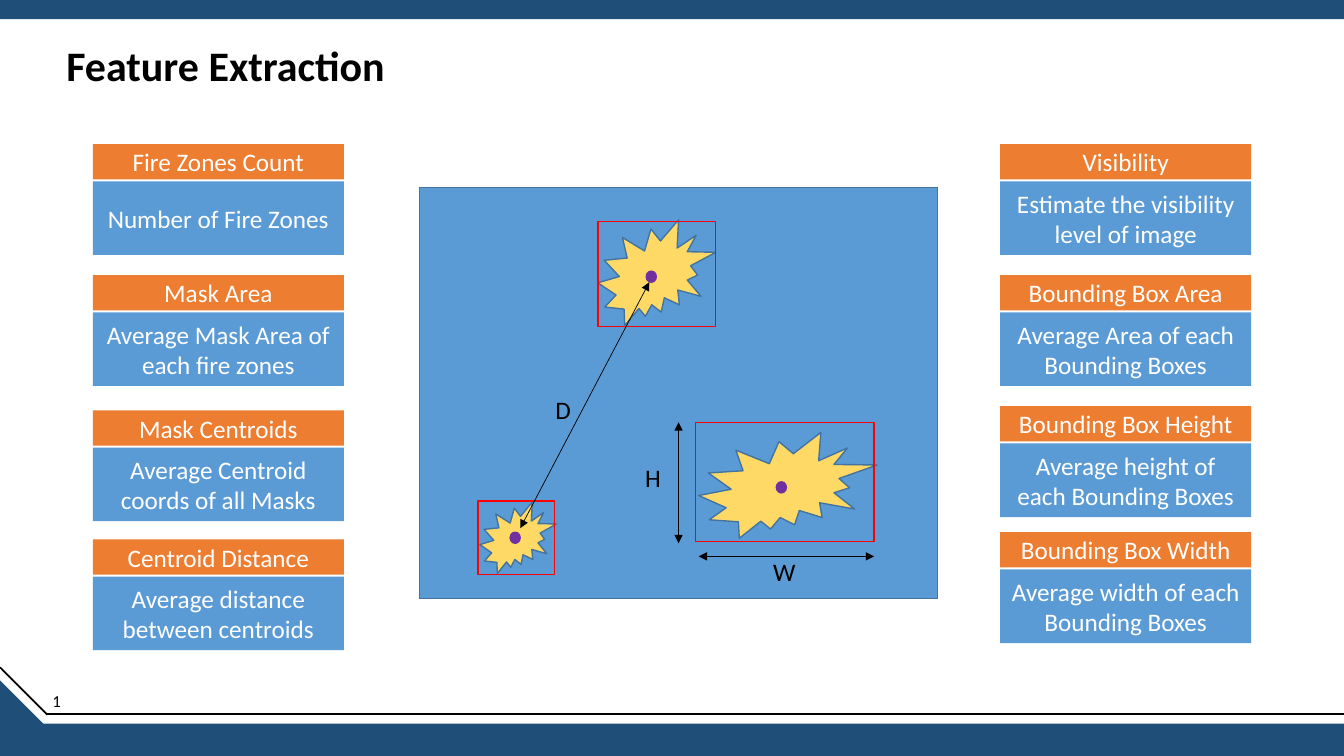
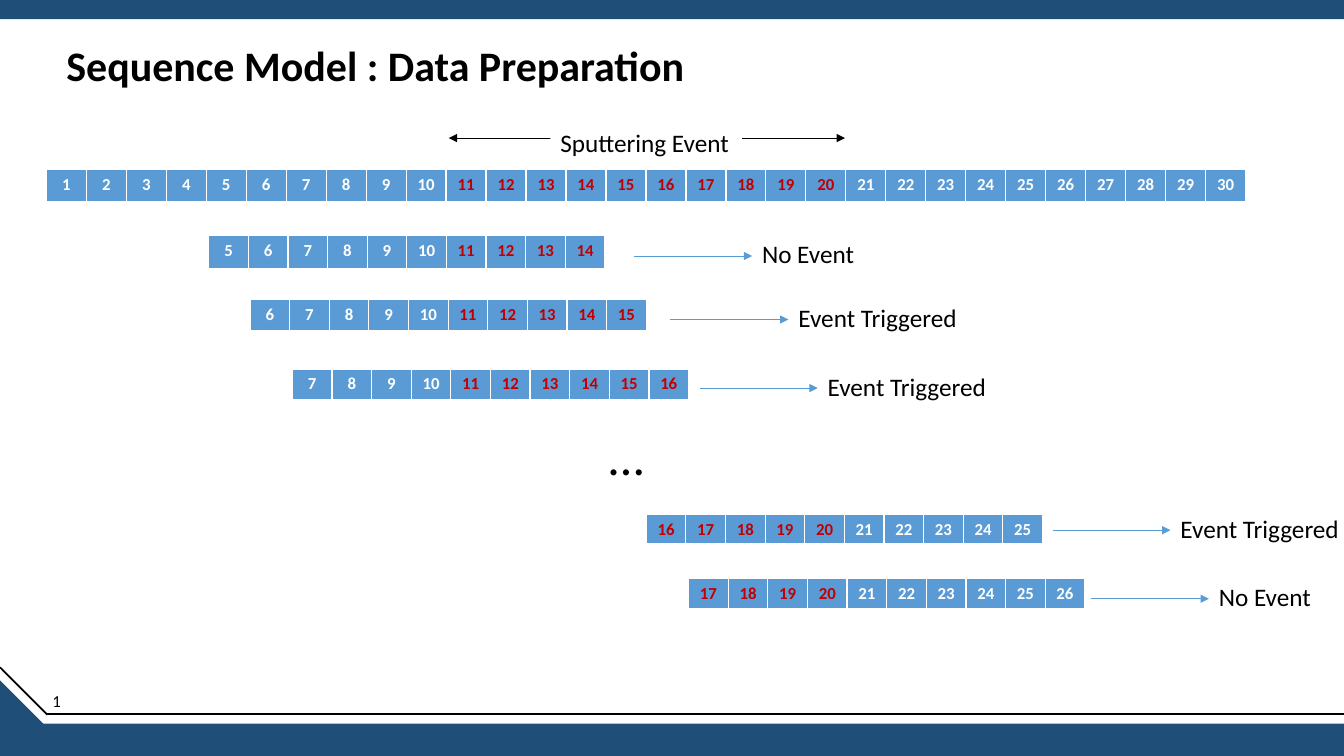
"""Build two slides on fire-zone features and sequence data preparation."""
from dataclasses import dataclass
from typing import NamedTuple, Optional

from lxml import etree
from pptx import Presentation
from pptx import slide as sl
from pptx import util as u
from pptx.dml import color
from pptx.enum import shapes, text
from pptx.oxml import ns

EMU_PER_PX = 9144
FONT = "Calibri"
NAVY = color.RGBColor(0x1F, 0x4E, 0x79)
BLUE = color.RGBColor(0x5B, 0x9B, 0xD5)
EDGE = color.RGBColor(0x43, 0x73, 0x9E)
ORANGE = color.RGBColor(0xED, 0x7D, 0x31)
YELLOW = color.RGBColor(0xFF, 0xD9, 0x66)
PURPLE = color.RGBColor(0x70, 0x30, 0xA0)
RED = color.RGBColor(0xFF, 0x00, 0x00)
DARK_RED = color.RGBColor(0xC0, 0x00, 0x00)
WHITE = color.RGBColor(0xFF, 0xFF, 0xFF)
BLACK = color.RGBColor(0x00, 0x00, 0x00)
KIND = shapes.MSO_SHAPE
ALIGN = text.PP_ALIGN
ANCHOR = text.MSO_ANCHOR

PAGE_WIDTH, PAGE_HEIGHT = 1333, 750
CARD_WIDTH, HEADER_HEIGHT, BODY_OFFSET, BODY_HEIGHT = 249, 35, 37, 73
WINDOW_WIDTH, WINDOW_LENGTH, ARROW_LENGTH = 393, 10, 117
EVENT_FRAMES = range(11, 21)


class Box(NamedTuple):
    left: int
    top: int
    width: int
    height: int


@dataclass(frozen=True)
class Card:
    left: int
    top: int
    name: str
    detail: str


@dataclass(frozen=True)
class Zone:
    flame: Box
    frame: Box
    centroid: tuple[int, int]


@dataclass(frozen=True)
class Label:
    box: Box
    words: str


@dataclass(frozen=True)
class Window:
    first: int
    box: Box
    arrow_left: int
    arrow_top: int
    outcome: str
    outcome_width: int


CARDS = [
    Card(92, 143, "Fire Zones Count", "Number of Fire Zones"),
    Card(92, 273, "Mask Area", "Average Mask Area of each fire zones"),
    Card(92, 407, "Mask Centroids", "Average Centroid coords of all Masks"),
    Card(92, 535, "Centroid Distance", "Average distance between centroids"),
    Card(992, 143, "Visibility", "Estimate the visibility level of image"),
    Card(992, 273, "Bounding Box Area", "Average Area of each Bounding Boxes"),
    Card(992, 403, "Bounding Box Height", "Average height of each Bounding Boxes"),
    Card(992, 528, "Bounding Box Width", "Average width of each Bounding Boxes"),
]
ZONES = [
    Zone(Box(593, 218, 117, 105), Box(593, 220, 117, 104), (641, 269)),
    Zone(Box(476, 498, 76, 71), Box(474, 497, 76, 73), (506, 528)),
    Zone(Box(693, 429, 177, 105), Box(690, 419, 177, 118), (770, 478)),
]
MEASURES = [(693, 552, 867, 552), (673, 419, 673, 539), (516, 524, 644, 280)]
MEASURE_LABELS = [
    Label(Box(757, 547, 43, 40), "W"),
    Label(Box(630, 454, 36, 40), "H"),
    Label(Box(541, 386, 36, 40), "D"),
]
NO_EVENT = ("No Event", 113)
TRIGGERED = ("Event Triggered", 179)
WINDOWS = [
    Window(5, Box(207, 234, WINDOW_WIDTH, 34), 629, 254, *NO_EVENT),
    Window(6, Box(248, 297, WINDOW_WIDTH, 32), 665, 317, *TRIGGERED),
    Window(7, Box(290, 366, WINDOW_WIDTH, 32), 694, 385, *TRIGGERED),
    Window(16, Box(641, 510, WINDOW_WIDTH, 30), 1044, 526, *TRIGGERED),
    Window(17, Box(683, 574, WINDOW_WIDTH, 31), 1082, 594, *NO_EVENT),
]


def px(length: int) -> u.Emu:
    """Turn px into EMU."""
    return u.Emu(length * EMU_PER_PX)


def scaled(box: Box) -> list[u.Emu]:
    """Turn a box in px into EMU lengths."""
    return [px(length) for length in box]


def add_words(para, words: str, size: int, ink: color.RGBColor, bold: bool = False) -> None:
    """Add one formatted run to a paragraph."""
    span = para.add_run()
    span.text = words
    span.font.name = FONT
    span.font.size = u.Pt(size)
    span.font.bold = bold
    span.font.color.rgb = ink


def add_box(page: sl.Slide, kind: KIND, box: Box, fill: Optional[color.RGBColor] = None,
            line: Optional[color.RGBColor] = None):
    """Draw a preset shape without shadow."""
    shape = page.shapes.add_shape(kind, *scaled(box))
    shape.shadow.inherit = False
    if fill is None:
        shape.fill.background()
    else:
        shape.fill.solid()
        shape.fill.fore_color.rgb = fill
    if line is None:
        shape.line.fill.background()
    else:
        shape.line.color.rgb = line
        shape.line.width = u.Pt(1)
    return shape


def add_panel(page: sl.Slide, box: Box, words: str, fill: color.RGBColor) -> None:
    """Draw a filled rectangle with centred white text."""
    frame = add_box(page, KIND.RECTANGLE, box, fill).text_frame
    frame.word_wrap = True
    frame.vertical_anchor = ANCHOR.MIDDLE
    para = frame.paragraphs[0]
    para.alignment = ALIGN.CENTER
    add_words(para, words, 18, WHITE)


def add_label(page: sl.Slide, box: Box, words: str, size: int = 18,
              fill: Optional[color.RGBColor] = None) -> None:
    """Add a one-line text box."""
    label = page.shapes.add_textbox(*scaled(box))
    if fill is not None:
        label.fill.solid()
        label.fill.fore_color.rgb = fill
    label.text_frame.word_wrap = False
    add_words(label.text_frame.paragraphs[0], words, size, BLACK)


def add_line(page: sl.Slide, ends: tuple[int, int, int, int], ink: color.RGBColor,
             width: float, head: bool = False, tail: bool = False) -> None:
    """Draw a straight line with optional arrowheads."""
    line = page.shapes.add_connector(shapes.MSO_CONNECTOR.STRAIGHT, *map(px, ends))
    line.line.color.rgb = ink
    line.line.width = u.Pt(width)
    outline = line.line._get_or_add_ln()
    for tag, wanted in (("a:headEnd", head), ("a:tailEnd", tail)):
        if wanted:
            etree.SubElement(outline, ns.qn(tag), type="triangle")
    etree.SubElement(line._element.spPr, ns.qn("a:effectLst"))


def add_borders(cell) -> None:
    """Give a cell white borders, thick at the bottom."""
    properties = cell._tc.get_or_add_tcPr()
    for tag, width in (("a:lnL", 1), ("a:lnR", 1), ("a:lnT", 1), ("a:lnB", 3)):
        border = etree.SubElement(properties, ns.qn(tag), w=str(u.Pt(width)))
        fill = etree.SubElement(border, ns.qn("a:solidFill"))
        etree.SubElement(fill, ns.qn("a:srgbClr"), val=str(WHITE))


def add_frames(page: sl.Slide, box: Box, first: int, count: int) -> None:
    """Draw a one-row table of frame numbers with event frames in red."""
    table = page.shapes.add_table(1, count, *scaled(box)).table
    table.first_row = False
    table.horz_banding = False
    for number, cell in enumerate(table.iter_cells(), first):
        add_borders(cell)
        cell.fill.solid()
        cell.fill.fore_color.rgb = BLUE
        para = cell.text_frame.paragraphs[0]
        para.alignment = ALIGN.CENTER
        add_words(para, str(number), 12, DARK_RED if number in EVENT_FRAMES else WHITE, True)


def add_page(deck, title: str) -> sl.Slide:
    """Add a slide with the shared bands, corner, title and number."""
    page = deck.slides.add_slide(deck.slide_layouts[6])
    add_box(page, KIND.RECTANGLE, Box(0, 718, PAGE_WIDTH, 32), NAVY)
    add_box(page, KIND.RECTANGLE, Box(0, 0, PAGE_WIDTH, 19), NAVY)
    corner = add_box(page, KIND.ISOSCELES_TRIANGLE, Box(0, 675, 47, 47), NAVY)
    corner.adjustments[0] = 1
    corner.rotation = 90
    add_line(page, (47, 708, PAGE_WIDTH, 708), BLACK, 1.25)
    add_line(page, (0, 662, 47, 709), BLACK, 1.25)
    frame = page.shapes.add_textbox(*scaled(Box(56, 40, 1186, 55))).text_frame
    frame.word_wrap = True
    frame.vertical_anchor = ANCHOR.MIDDLE
    para = frame.paragraphs[0]
    para.line_spacing = 0.9
    add_words(para, title, 30, BLACK, True)
    add_label(page, Box(42, 680, 28, 30), "1", 12)
    return page


def add_features(deck) -> None:
    """Build the feature extraction slide."""
    page = add_page(deck, "Feature Extraction")
    for card in CARDS:
        body = Box(card.left, card.top + BODY_OFFSET, CARD_WIDTH, BODY_HEIGHT)
        add_panel(page, body, card.detail, BLUE)
        add_panel(page, Box(card.left, card.top, CARD_WIDTH, HEADER_HEIGHT), card.name, ORANGE)
    add_box(page, KIND.FLOWCHART_PROCESS, Box(416, 186, 514, 408), BLUE, EDGE)
    for zone in ZONES:
        add_box(page, KIND.EXPLOSION2, zone.flame, YELLOW, EDGE)
        add_box(page, KIND.RECTANGLE, zone.frame, line=RED)
        add_box(page, KIND.OVAL, Box(*zone.centroid, 10, 11), PURPLE, PURPLE)
    for ends in MEASURES:
        add_line(page, ends, BLACK, 0.5, head=True, tail=True)
    for label in MEASURE_LABELS:
        add_label(page, label.box, label.words)


def add_sequence(deck) -> None:
    """Build the data preparation slide."""
    page = add_page(deck, "Sequence Model : Data Preparation")
    add_frames(page, Box(46, 168, 1190, 33), 1, 30)
    add_line(page, (445, 137, 838, 137), BLACK, 0.5, head=True, tail=True)
    add_label(page, Box(546, 121, 190, 40), "Sputtering Event", fill=WHITE)
    for window in WINDOWS:
        add_frames(page, window.box, window.first, WINDOW_LENGTH)
        tip, level = window.arrow_left + ARROW_LENGTH, window.arrow_top
        add_line(page, (window.arrow_left, level, tip, level), BLUE, 0.5, tail=True)
        outcome = Box(tip, level - 22, window.outcome_width, 40)
        add_label(page, outcome, window.outcome, fill=WHITE)
    add_label(page, Box(594, 417, 55, 71), "…", 36, WHITE)


def main() -> None:
    """Build and save the deck."""
    deck = Presentation()
    deck.slide_width, deck.slide_height = px(PAGE_WIDTH), px(PAGE_HEIGHT)
    add_features(deck)
    add_sequence(deck)
    deck.save("out.pptx")


if __name__ == "__main__":
    main()
